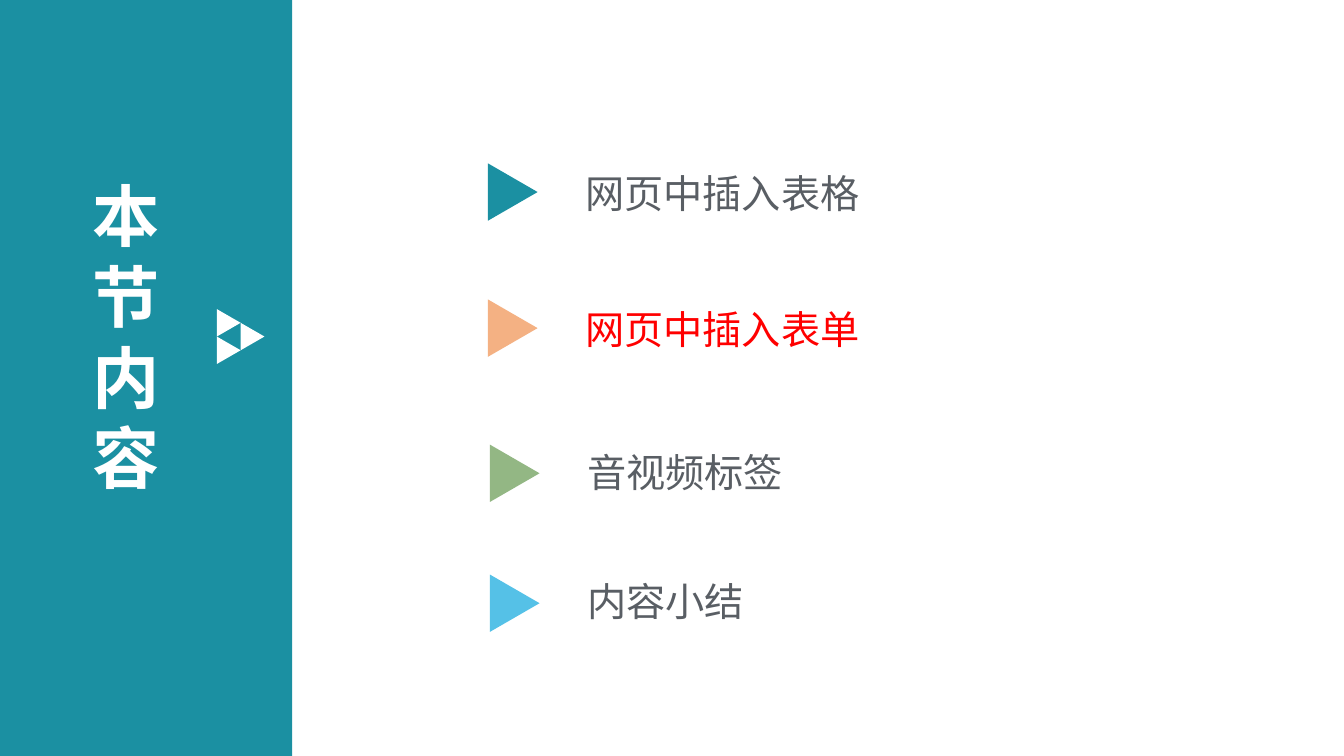
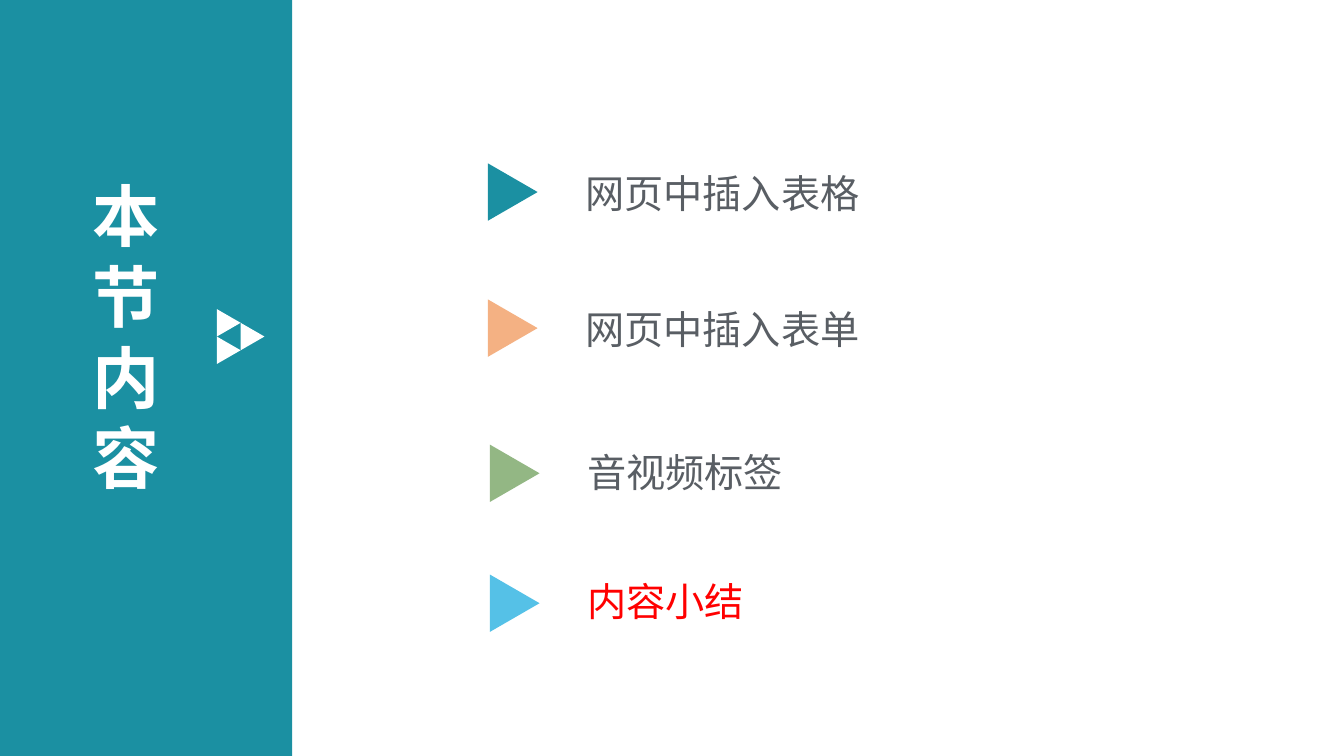
from pptx import Presentation
from pptx.dml.color import RGBColor
from pptx.enum.shapes import MSO_SHAPE
from pptx.enum.text import MSO_ANCHOR, MSO_AUTO_SIZE, PP_ALIGN
from pptx.oxml.ns import qn
from pptx.util import Pt

RECTANGLE = MSO_SHAPE.RECTANGLE
TRIANGLE = MSO_SHAPE.ISOSCELES_TRIANGLE
MIDDLE = MSO_ANCHOR.MIDDLE
LEFT = PP_ALIGN.LEFT
NO_AUTOFIT = MSO_AUTO_SIZE.NONE
TITLE_ONLY = 5

PAGE_WIDTH, PAGE_HEIGHT = 960, 540
FONT = "Noto Sans CJK SC"
TEAL, ORANGE, GREEN, BLUE = "1B90A2", "F4B183", "93B784", "55C1E7"
WHITE, GREY, RED = "FFFFFF", "595E64", "FF0000"

BAND = (0, 0, 208.8, PAGE_HEIGHT)
AGENDA = (348.5, 116.7, 420, 340)

# Topic, marker colour, marker top, label top, shift to the right;
# lengths are relative to the agenda box
TOPICS = [
    ("网页中插入表格", TEAL, 0, 0.9, 0),
    ("网页中插入表单", ORANGE, 97.2, 97.4, 0),
    ("音视频标签", GREEN, 200.9, 199.9, 1.4),
    ("内容小结", BLUE, 293.7, 292.3, 1.4),
]
HIGHLIGHTS = ["网页中插入表单", "内容小结"]


def rgb(value):
    return RGBColor.from_string(value)


def place(shape, left, top, width, height):
    shape.left, shape.top = Pt(left), Pt(top)
    shape.width, shape.height = Pt(width), Pt(height)


def write(shape, text, size, color, bold=False, line_height=None):
    frame = shape.text_frame
    frame.word_wrap = True
    frame.auto_size = NO_AUTOFIT
    frame.vertical_anchor = MIDDLE
    frame.margin_left = frame.margin_right = Pt(7.2)
    frame.margin_top = frame.margin_bottom = Pt(0)
    para = frame.paragraphs[0]
    para.alignment = LEFT
    if line_height:
        para.line_spacing = Pt(line_height)
    span = para.add_run()
    span.text = text
    span.font.name = FONT
    span.font.size = Pt(size)
    span.font.bold = bold
    span.font.color.rgb = rgb(color)
    # East Asian characters take their own typeface entry
    east_asian = span.font._element.makeelement(qn("a:ea"), {"typeface": FONT})
    span.font._element.find(qn("a:latin")).addnext(east_asian)


def add_filled(page, kind, left, top, width, height, color):
    shape = page.shapes.add_shape(
        kind, Pt(left), Pt(top), Pt(width), Pt(height))
    shape.shadow.inherit = False
    shape.fill.solid()
    shape.fill.fore_color.rgb = rgb(color)
    shape.line.fill.background()
    return shape


def add_pointer(page, left, top, width, height, color):
    """Right-pointing triangle that fills the given box."""
    shift = (height - width) / 2
    pointer = add_filled(page, TRIANGLE, left - shift, top + shift,
                         height, width, color)
    pointer.rotation = 90


def add_title_band(page, box, title):
    left, top, width, height = box
    band = add_filled(page, RECTANGLE, left, top, width, height, TEAL)
    # The band lies behind the title
    page.shapes._spTree.insert(2, band._element)

    heading = page.shapes.title
    place(heading, left + 59, top + 120, 66.2, 240)
    write(heading, title, size=48, color=WHITE, bold=True, line_height=57.6)

    # Emblem of three small triangles
    small_width, small_height = 17, 19.6
    for column, row in [(0, 0), (0, 1), (1, 0.5)]:
        add_pointer(page, left + 154.9 + column * small_width,
                    top + 220.8 + row * small_height,
                    small_width, small_height, WHITE)


def add_agenda(page, box, highlight):
    left, top, width, _ = box
    label_offset = 62.6
    for topic, color, marker_top, label_top, shift in TOPICS:
        add_pointer(page, left + shift, top + marker_top, 35.5, 41, color)
        label = page.shapes.add_textbox(
            Pt(left + label_offset + shift), Pt(top + label_top),
            Pt(width - label_offset - shift), Pt(41))
        write(label, topic, size=28,
              color=RED if topic == highlight else GREY)


def main():
    deck = Presentation()
    deck.slide_width, deck.slide_height = Pt(PAGE_WIDTH), Pt(PAGE_HEIGHT)
    for highlight in HIGHLIGHTS:
        page = deck.slides.add_slide(deck.slide_layouts[TITLE_ONLY])
        add_title_band(page, BAND, "本节内容")
        add_agenda(page, AGENDA, highlight)
    deck.save("out.pptx")


if __name__ == "__main__":
    main()
